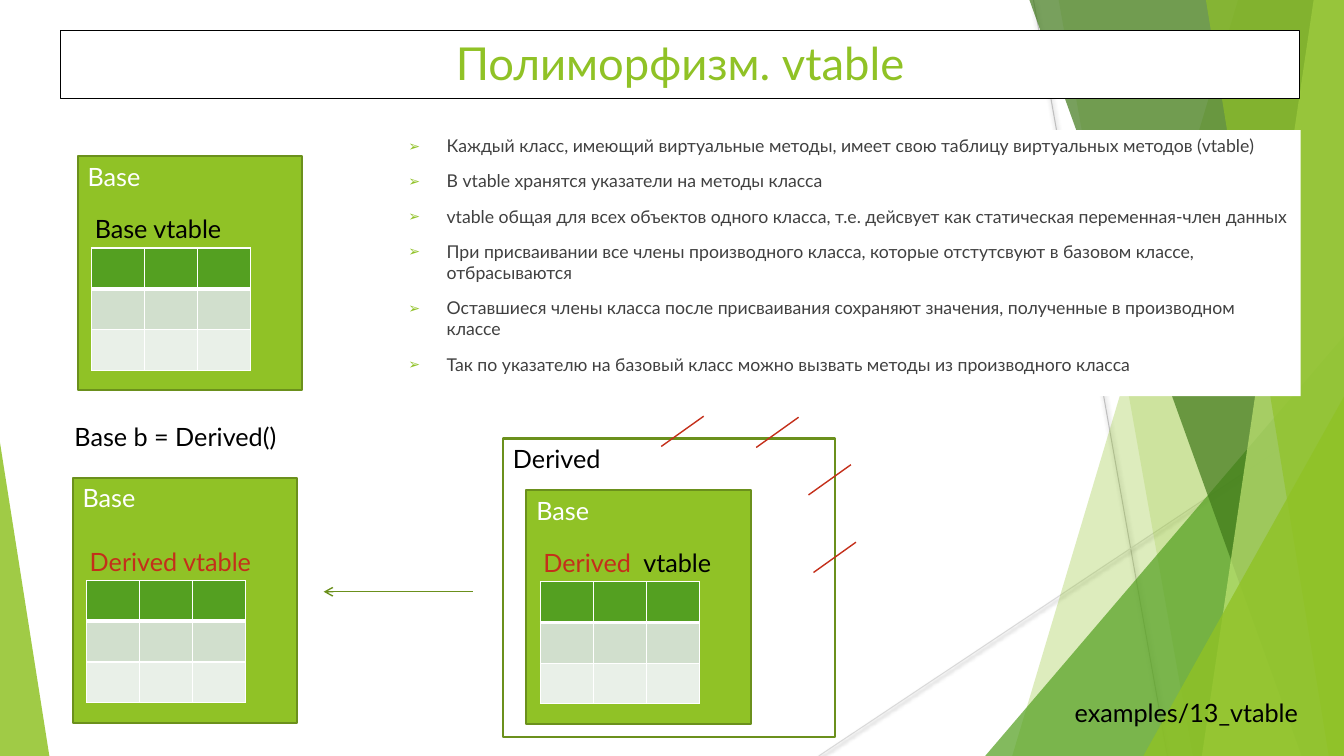
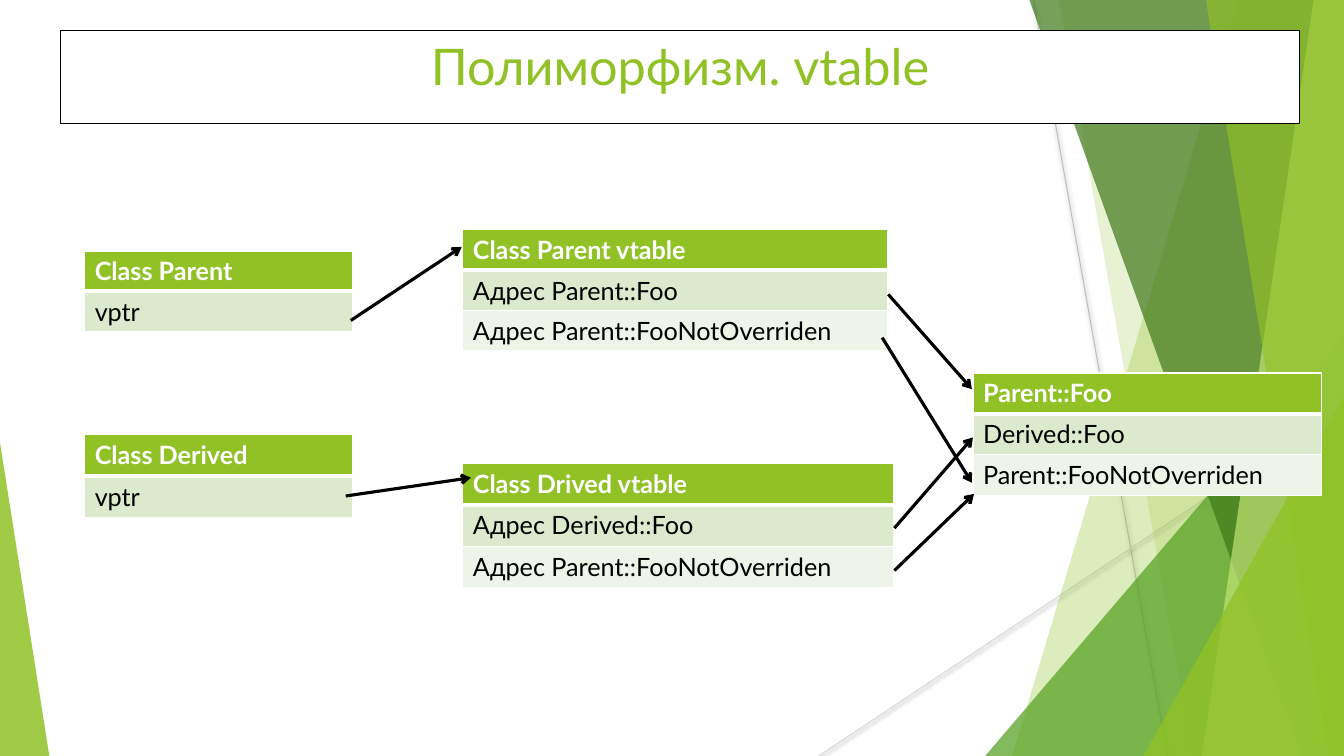
from dataclasses import dataclass

from lxml.etree import SubElement
from pptx import Presentation
from pptx.dml.color import RGBColor
from pptx.enum.shapes import MSO_CONNECTOR, MSO_SHAPE
from pptx.enum.text import MSO_ANCHOR, MSO_AUTO_SIZE, PP_ALIGN
from pptx.oxml.ns import qn
from pptx.util import Inches, Pt

RECT = MSO_SHAPE.RECTANGLE
TRIANGLE = MSO_SHAPE.ISOSCELES_TRIANGLE
STRAIGHT = MSO_CONNECTOR.STRAIGHT
TOP = MSO_ANCHOR.TOP
LEFT, CENTER = PP_ALIGN.LEFT, PP_ALIGN.CENTER
NO_FIT, FIT_SHAPE = MSO_AUTO_SIZE.NONE, MSO_AUTO_SIZE.SHAPE_TO_FIT_TEXT

WIDTH, HEIGHT = 13.33, 7.5
COLS, ROWS = 64, 36
TITLE_AND_BODY, TITLE_ONLY = 1, 5


@dataclass(frozen=True)
class Theme:
    font: str = "Lato"
    white: str = "FFFFFF"
    black: str = "000000"
    body: str = "404040"
    lime: str = "90C226"
    lime_edge: str = "6B901C"
    lime_light: str = "C0E474"
    green: str = "54A021"
    green_dark: str = "3F7819"
    red: str = "C42F1A"
    ray_dark: str = "BFBFBF"
    ray_light: str = "D9D9D9"
    green_rows: tuple = ("54A021", "D1DFCD", "E9F0E8")
    lime_rows: tuple = ("90C226", "DBE9CD", "EEF4E8")
    text_size: float = 18
    list_size: float = 12.6
    list_gap: float = 10


def grid(value):
    return Inches(value * HEIGHT / ROWS)


def rgb(color):
    return RGBColor.from_string(color)


def child(parent, tag, **attrs):
    return SubElement(parent, qn(tag), {k: str(v) for k, v in attrs.items()})


class Deck:
    def __init__(self, theme):
        self.t = theme
        self.prs = Presentation()
        self.prs.slide_width = Inches(WIDTH)
        self.prs.slide_height = Inches(HEIGHT)
        self.s = None

    def slide(self, layout, title, size, height):
        self.s = self.prs.slides.add_slide(self.prs.slide_layouts[layout])
        sp = self.s.shapes.title
        self.place(sp, 2.88, 1.44, 59, height)
        self.paint(sp, self.t.white, self.t.black, 0.75)
        self.fill_text(sp.text_frame, [(title, self.t.lime)], size, CENTER)

    def place(self, sp, x, y, w, h):
        sp.left, sp.top, sp.width, sp.height = map(grid, (x, y, w, h))

    def paint(self, sp, fill, line=None, width=1.5, alpha=None):
        sp.fill.solid()
        sp.fill.fore_color.rgb = rgb(fill)
        if alpha:
            color = sp._element.spPr.find(qn("a:solidFill"))[0]
            child(color, "a:alpha", val=alpha * 1000)
        if line:
            sp.line.color.rgb = rgb(line)
            sp.line.width = Pt(width)
        else:
            sp.line.fill.background()

    def add_runs(self, p, runs, size, bold=False):
        for text, color in runs:
            r = p.add_run()
            r.text = text
            r.font.name = self.t.font
            r.font.size = Pt(size)
            r.font.bold = bold
            r.font.color.rgb = rgb(color)

    def fill_text(self, tf, runs, size, align=LEFT):
        tf.word_wrap = True
        tf.auto_size = NO_FIT
        tf.vertical_anchor = TOP
        p = tf.paragraphs[0]
        p.alignment = align
        self.add_runs(p, runs, size)

    def shape(self, kind, x, y, w, h, fill, line=None, alpha=None):
        sp = self.s.shapes.add_shape(kind, *map(grid, (x, y, w, h)))
        sp.shadow.inherit = False
        self.paint(sp, fill, line, alpha=alpha)
        return sp

    def box(self, x, y, w, h, name, fill, color):
        sp = self.shape(RECT, x, y, w, h, fill, self.t.lime_edge)
        self.fill_text(sp.text_frame, [(name, color)], self.t.text_size)

    def label(self, x, y, w, *runs):
        sp = self.s.shapes.add_textbox(*map(grid, (x, y, w, 1.92)))
        self.fill_text(sp.text_frame, runs, self.t.text_size)
        sp.text_frame.word_wrap = False
        sp.text_frame.auto_size = FIT_SHAPE

    def line(self, x1, y1, x2, y2, color, width=1, arrow=False, shadow=False):
        c = self.s.shapes.add_connector(STRAIGHT, *map(grid, (x1, y1, x2, y2)))
        c.line.color.rgb = rgb(color)
        c.line.width = Pt(width)
        if arrow:
            child(c.line._get_or_add_ln(), "a:tailEnd", type="arrow")
        effects = child(c._element.spPr, "a:effectLst")
        if shadow:
            outer = child(effects, "a:outerShdw", blurRad=Pt(3.1), dist=Pt(1.6),
                          dir=5400000, rotWithShape=0)
            tint = child(outer, "a:srgbClr", val=self.t.black)
            child(tint, "a:alpha", val=38000)

    def bullets(self, x, y, w, h, items):
        sp = self.s.placeholders[1]
        self.place(sp, x, y, w, h)
        self.paint(sp, self.t.white)
        tf = sp.text_frame
        tf.word_wrap = True
        tf.auto_size = NO_FIT
        tf.vertical_anchor = TOP
        for i, item in enumerate(items):
            p = tf.add_paragraph() if i else tf.paragraphs[0]
            pPr = p._p.get_or_add_pPr()
            pPr.set("marL", str(Inches(0.38)))
            pPr.set("indent", str(Inches(-0.38)))
            child(child(pPr, "a:buClr"), "a:srgbClr", val=self.t.lime)
            child(pPr, "a:buSzPct", val=80000)
            child(pPr, "a:buFont", typeface=self.t.font)
            child(pPr, "a:buChar", char="➢")
            p.space_before = Pt(self.t.list_gap if i else 0)
            self.add_runs(p, [(item, self.t.body)], self.t.list_size)

    def borders(self, cell, row):
        tcPr = cell._tc.get_or_add_tcPr()
        widths = {"L": 1, "R": 1, "T": 3 if row == 1 else 1, "B": 1 if row else 3}
        for side, width in widths.items():
            ln = child(tcPr, f"a:ln{side}", w=Pt(width))
            child(child(ln, "a:solidFill"), "a:srgbClr", val=self.t.white)

    def table(self, x, y, w, row_height, rows, fills):
        n, m = len(rows), len(rows[0])
        frame = self.s.shapes.add_table(n, m, *map(grid, (x, y, w, n * row_height)))
        for i, row in enumerate(rows):
            for j, text in enumerate(row):
                cell = frame.table.cell(i, j)
                self.borders(cell, i)
                cell.fill.solid()
                cell.fill.fore_color.rgb = rgb(fills[i])
                if text:
                    color = self.t.black if i else self.t.white
                    self.add_runs(cell.text_frame.paragraphs[0], [(text, color)],
                                  self.t.text_size, bold=i == 0)

    def list_table(self, x, y, w, row_height, *names):
        self.table(x, y, w, row_height, [[name] for name in names], self.t.lime_rows)

    def base_class(self, x, y, label_width, *label, drop=0):
        self.box(x, y, 10.7, 11.14 + drop, "Base", self.t.lime, self.t.white)
        self.table(x + 0.67, y + 4.37 + drop, 7.56, 1.94, [[""] * 3] * 3,
                   self.t.green_rows)
        self.label(x + 0.34, y + 2.5 + drop, label_width, *label)

    def band(self, top, bottom, color, alpha):
        b = self.s.shapes.build_freeform(grid(top), 0)
        b.add_line_segments([(grid(px), grid(py)) for px, py in
                             ((COLS, 0), (COLS, ROWS), (bottom, ROWS))])
        sp = b.convert_to_shape()
        sp.shadow.inherit = False
        self.paint(sp, color, alpha=alpha)

    def triangle(self, x, y, w, color, alpha, apex):
        sp = self.shape(TRIANGLE, x, y, w, ROWS - y, color, alpha=alpha)
        sp.adjustments[0] = apex

    def backdrop(self):
        t = self.t
        before = len(self.s.shapes)
        self.line(49.2, 0, 55.58, ROWS, t.ray_dark, 0.75, shadow=True)
        self.line(COLS, 19.34, 38.98, ROWS, t.ray_light, 0.75, shadow=True)
        self.band(58.94, 48.19, t.lime, 30)
        self.band(50.4, 56.78, t.lime, 20)
        self.triangle(46.9, 15.98, 17.1, t.green, 72, 1)
        self.band(49.01, 61.97, t.green_dark, 70)
        self.band(62.54, 57.22, t.lime_light, 70)
        self.band(57.41, 63.26, t.lime, 65)
        self.triangle(54.43, 18.86, 9.57, t.lime, 80, 1)
        self.triangle(0, 21.07, 2.35, t.lime, 85, 0)
        tree = self.prs.slide_master.shapes._spTree
        for i, sp in enumerate(list(self.s.shapes)[before:]):
            el = sp._element
            el.xpath(".//p:cNvPr")[0].set("id", str(100 + i))
            tree.insert(2 + i, el)


def slicing_slide(d):
    t = d.t
    d.slide(TITLE_AND_BODY, "Полиморфизм. vtable", 32.4, 3.26)
    d.backdrop()
    d.bullets(18.96, 6.19, 42.96, 12.67, [
        "Каждый класс, имеющий виртуальные методы, имеет свою таблицу виртуальных методов (vtable)",
        "В vtable хранятся указатели на методы класса",
        "vtable общая для всех объектов одного класса, т.е. дейсвует как статическая переменная-член данных",
        "При присваивании все члены производного класса, которые отстутсвуют в базовом классе, отбрасываются",
        "Оставшиеся члены класса после присваивания сохраняют значения, полученные в производном классе",
        "Так по указателю на базовый класс можно вызвать методы из производного класса",
    ])
    d.box(23.95, 20.88, 15.79, 14.21, "Derived", t.white, t.black)
    d.label(3.07, 19.82, 10.8, ("Base b = Derived()", t.black))
    d.base_class(3.7, 7.44, 7.15, ("Base vtable", t.black))
    d.base_class(3.46, 22.75, 8.78, ("Derived vtable", t.red), drop=0.53)
    d.base_class(25.06, 23.33, 9.17, ("Derived ", t.red), (" vtable", t.black))
    d.line(22.51, 28.18, 15.41, 28.18, t.lime_edge, arrow=True)
    for x, y in ((33.5, 19.82), (38.02, 19.87), (40.51, 22.13), (40.75, 25.82)):
        d.line(x, y, x - 2.02, y + 1.44, t.red)
    d.label(50.69, 32.98, 11.9, ("examples/13_vtable", t.black))


def pointers_slide(d):
    d.slide(TITLE_ONLY, "Полиморфизм. vtable", 36, 4.42)
    d.list_table(4.03, 11.95, 12.77, 1.92, "Class Parent", "vptr")
    d.list_table(4.03, 20.69, 12.77, 1.99, "Class Derived", "vptr")
    d.list_table(22.03, 10.94, 20.21, 1.92, "Class Parent vtable",
                 "Адрес Parent::Foo", "Адрес Parent::FooNotOverriden")
    d.list_table(22.03, 22.08, 20.5, 1.97, "Class Drived vtable",
                 "Адрес Derived::Foo", "Адрес Parent::FooNotOverriden")
    d.list_table(46.32, 17.76, 16.61, 1.94, "Parent::Foo",
                 "Derived::Foo", "Parent::FooNotOverriden")
    for ends in ((16.7, 15.26, 21.98, 11.76), (16.46, 23.62, 22.42, 22.75),
                 (42.29, 14.02, 46.27, 18.53), (42, 16.08, 46.27, 22.99),
                 (42.58, 25.15, 46.32, 20.83), (42.58, 27.17, 46.37, 23.52)):
        d.line(*ends, d.t.black, 2.25, arrow=True)


def main():
    d = Deck(Theme())
    slicing_slide(d)
    pointers_slide(d)
    d.prs.save("out.pptx")


if __name__ == "__main__":
    main()
